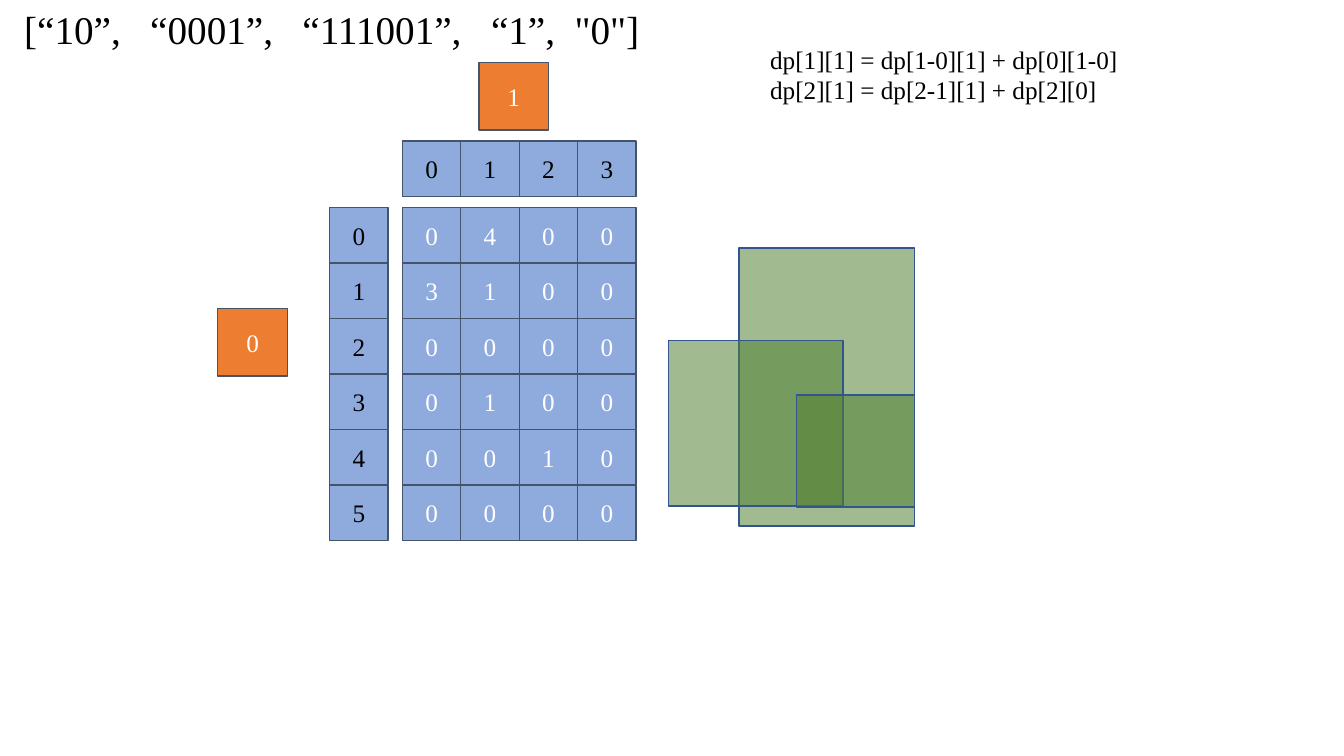
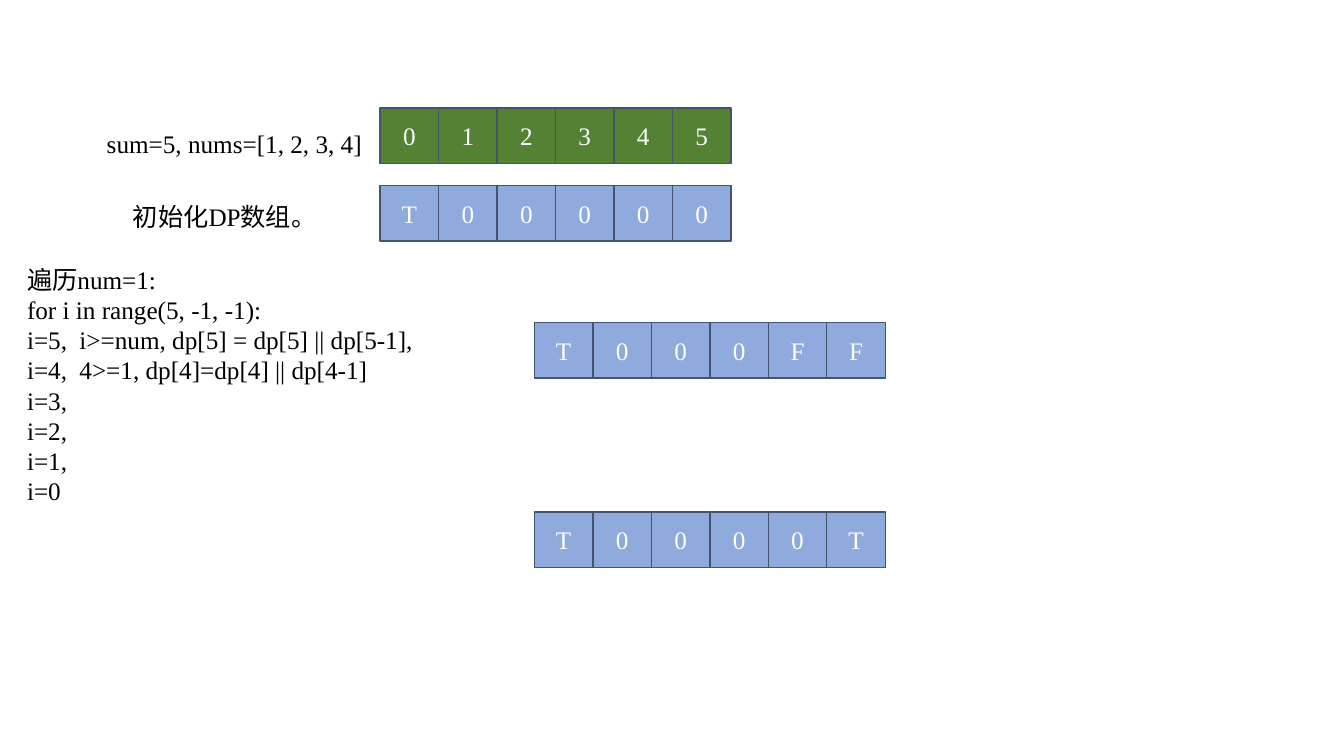
from pptx import Presentation
from pptx.util import Inches, Pt
from pptx.dml.color import RGBColor as RGB
from pptx.enum.shapes import MSO_SHAPE as Shape
from pptx.enum.text import MSO_ANCHOR as Anchor, MSO_AUTO_SIZE as Auto, PP_ALIGN as Align
from pptx.oxml.ns import qn
from lxml.etree import SubElement

# Content
TITLE = "[“10”,\t“0001”,\t“111001”,\t“1”,\t\"0\"]"
COUNTS = ["0400", "3100", "0000", "0100", "0010", "0000"]
STEPS = ["dp[1][1] = dp[1-0][1] + dp[0][1-0]",
         "dp[2][1] = dp[2-1][1] + dp[2][0]"]
BADGES = [("1", 4.75, 0.62), ("0", 2.16, 3.06)]
PANES = [(7.33, 2.46, 1.74, 2.76), (6.63, 3.38, 1.73, 1.64),
         (7.9, 3.92, 1.17, 1.11)]
STRIPS = [("T00000", 3.77, 1.84, "blue"), ("012345", 3.77, 1.07, "green"),
          ("T000FF", 5.3, 3.2, "blue"), ("T0000T", 5.3, 5.08, "blue")]
LOOP = ["遍历num=1:", "for i in range(5, -1, -1):",
        "i=5,\ti>=num, dp[5] = dp[5] || dp[5-1],",
        "i=4,\t4>=1, dp[4]=dp[4] || dp[4-1]",
        "i=3,", "i=2,", "i=1,", "i=0"]
NOTES = [(["sum=5, nums=[1, 2, 3, 4]"], (0.96, 1.22, 2.82, 0.4)),
         (["初始化DP数组。"], (1.22, 1.95, 2.31, 0.4)),
         (LOOP, (0.17, 2.57, 4.76, 2.52))]

# Shared style
HEX = {"blue": "8FAADC", "green": "548235", "orange": "ED7D31",
       "edge": "44546A", "rim": "325491", "white": "FFFFFF", "black": "000000"}
FONT = "Times New Roman"
COL, ROW = 0.58, 0.55
LEFT, TOP = 3.99, 2.06
SIDE, HEAD = LEFT - 0.72, TOP - 0.66


def tint(name):
    return RGB.from_string(HEX[name])


def style(par, color, size=18, align=Align.LEFT, tabs=()):
    par.alignment = align
    for run in par.runs:
        run.font.name, run.font.size = FONT, Pt(size)
        run.font.color.rgb = tint(color)
    if tabs:
        stops = SubElement(par._p.get_or_add_pPr(), qn("a:tabLst"))
        for pos in tabs:
            SubElement(stops, qn("a:tab"), pos=str(Inches(pos)), algn="l")


def box(slide, area, fill, edge="edge"):
    shape = slide.shapes.add_shape(Shape.RECTANGLE, *map(Inches, area))
    shape.shadow.inherit = False
    shape.fill.solid()
    shape.fill.fore_color.rgb = tint(fill)
    shape.line.color.rgb = tint(edge)
    shape.line.width = Pt(1)
    return shape


def cell(slide, text, area, fill="blue", color="white"):
    frame = box(slide, area, fill).text_frame
    frame.text = text
    frame.vertical_anchor = Anchor.MIDDLE
    style(frame.paragraphs[0], color, align=Align.CENTER)


def grid(slide, rows, left, top, fill="blue", color="white"):
    for r, row in enumerate(rows):
        for c, text in enumerate(row):
            area = left + c * COL, top + r * ROW, COL, ROW
            cell(slide, text, area, fill, color)


def pane(slide, area):
    shape = box(slide, area, "green", "rim")
    clr = shape.fill._xPr.find(qn("a:solidFill"))[0]
    SubElement(clr, qn("a:alpha"), val="55000")


def note(slide, lines, area):
    frame = slide.shapes.add_textbox(*map(Inches, area)).text_frame
    frame.word_wrap = True
    frame.text = "\n".join(lines)
    for par in frame.paragraphs:
        style(par, "black", tabs=[0.52] if "\t" in par.text else ())


def title(slide, text, area, tabs):
    head = slide.shapes.title
    head.left, head.top, head.width, head.height = map(Inches, area)
    frame = head.text_frame
    frame.text = text
    frame.word_wrap = True
    frame.auto_size = Auto.NONE
    frame.vertical_anchor = Anchor.TOP
    style(frame.paragraphs[0], "black", 28, tabs=tabs)


deck = Presentation()
deck.slide_width, deck.slide_height = Inches(13.33), Inches(7.5)

# Slide 1: table of counts with its row and column labels
one = deck.slides.add_slide(deck.slide_layouts[5])
title(one, TITLE, (0.14, 0, 6.33, 0.57), [1.25, 2.76, 4.63, 5.46])
grid(one, COUNTS, LEFT, TOP)
grid(one, [str(n) for n in range(len(COUNTS))], SIDE, TOP, color="black")
grid(one, ["0123"], LEFT, HEAD, color="black")
for text, x, y in BADGES:
    cell(one, text, (x, y, 0.69, 0.67), "orange")
note(one, STEPS, (7.54, 0.39, 5.79, 0.71))
for area in PANES:
    pane(one, area)

# Slide 2: one strip of cells per step
two = deck.slides.add_slide(deck.slide_layouts[6])
for text, x, y, fill in STRIPS:
    grid(two, [text], x, y, fill)
for lines, area in NOTES:
    note(two, lines, area)

deck.save("out.pptx")
